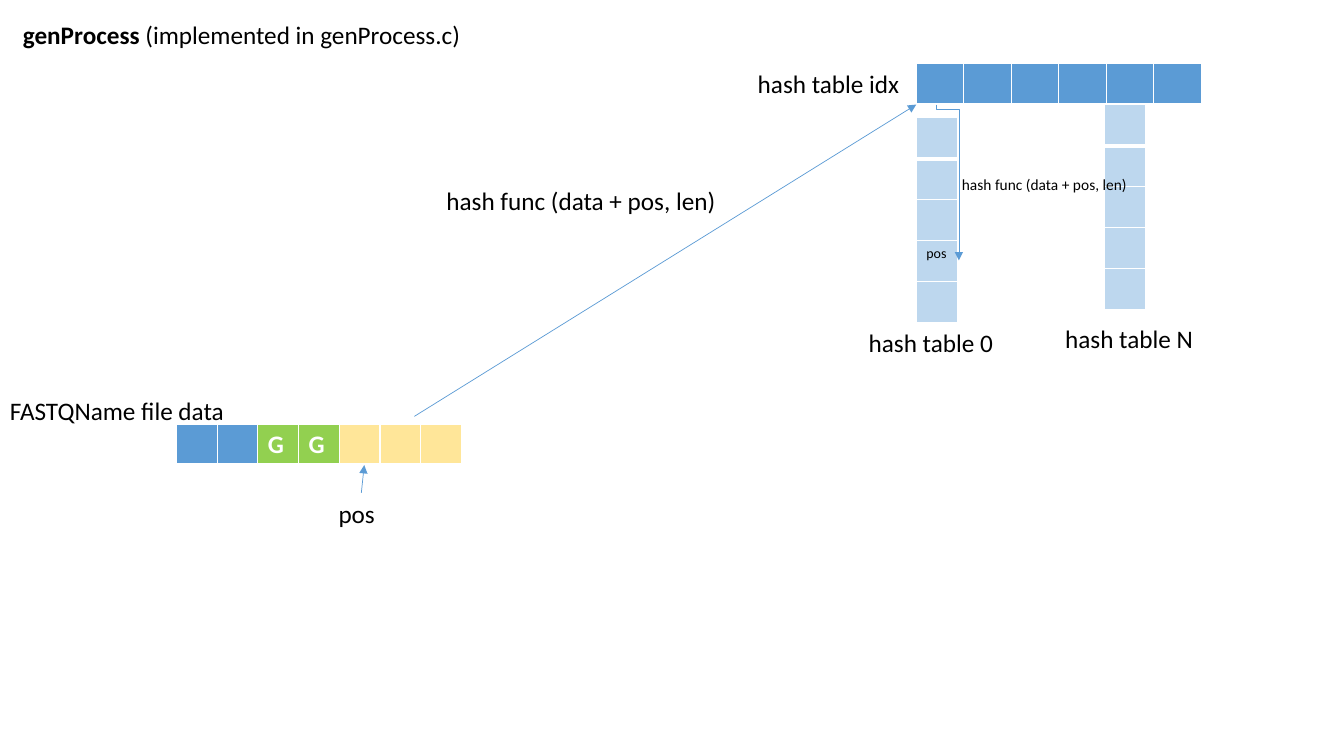
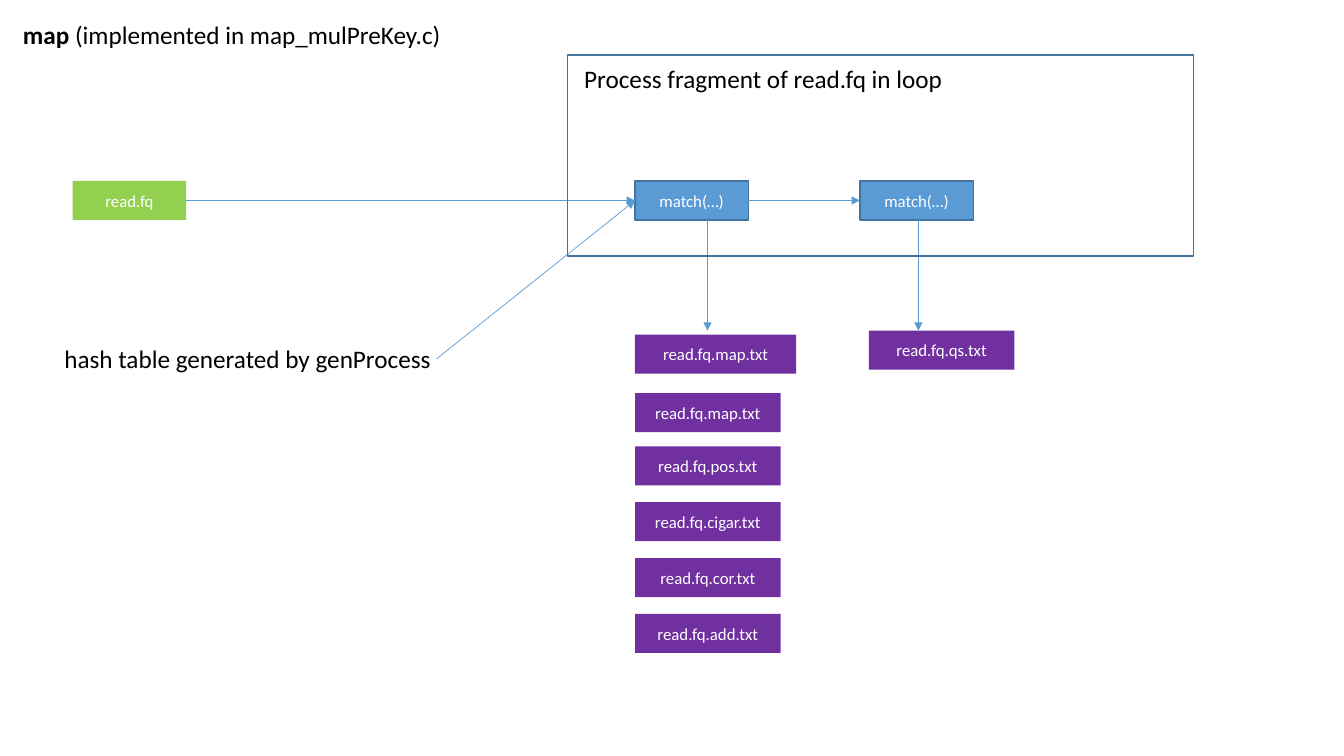
from dataclasses import dataclass

from pptx import Presentation
from pptx.dml.color import RGBColor
from pptx.enum.shapes import MSO_CONNECTOR, MSO_SHAPE
from pptx.enum.text import MSO_ANCHOR, MSO_AUTO_SIZE, PP_ALIGN
from pptx.oxml.ns import qn
from pptx.shapes.autoshape import Shape
from pptx.shapes.connector import Connector
from pptx.slide import Slide
from pptx.util import Pt
from lxml.etree import SubElement

RECT = MSO_SHAPE.RECTANGLE
STRAIGHT, ELBOW = MSO_CONNECTOR.STRAIGHT, MSO_CONNECTOR.ELBOW
CENTER, MIDDLE = PP_ALIGN.CENTER, MSO_ANCHOR.MIDDLE
GROW = MSO_AUTO_SIZE.SHAPE_TO_FIT_TEXT
TOP, LEFT, RIGHT = 0, 1, 3


@dataclass(frozen=True)
class Theme:
    font: str = "Calibri"
    black: str = "000000"
    white: str = "FFFFFF"
    blue: str = "5B9BD5"
    edge: str = "43739E"
    pale: str = "BDD7EE"
    green: str = "92D050"
    yellow: str = "FFE699"
    purple: str = "7030A0"
    body: float = 18
    small: float = 12
    note: float = 11
    tiny: float = 10


THEME = Theme()
ROW = 29.2
BOX_H = 27.9


@dataclass(frozen=True)
class Label:
    text: str
    x: float
    y: float
    w: float
    size: float = THEME.body
    wrap: bool = False
    bold: str = ""


@dataclass(frozen=True)
class Box:
    text: str
    x: float
    y: float
    w: float
    fill: str = ""
    edge: str = ""
    h: float = BOX_H


@dataclass(frozen=True)
class Cell:
    fill: str
    text: str = ""
    size: float = THEME.body
    color: str = THEME.white
    bold: bool = False


def rgb(color: str) -> RGBColor:
    return RGBColor.from_string(color)


def add_run(para, text: str, size: float, color: str, bold: bool = False) -> None:
    run = para.add_run()
    run.text = text
    font = run.font
    font.name, font.size, font.bold = THEME.font, Pt(size), bold
    font.color.rgb = rgb(color)


def add_label(slide: Slide, label: Label) -> Shape:
    shape = slide.shapes.add_textbox(
        Pt(label.x), Pt(label.y), Pt(label.w), Pt(label.size * 1.22 + 7.2))
    frame = shape.text_frame
    frame.word_wrap, frame.auto_size = label.wrap, GROW
    para = frame.paragraphs[0]
    if label.bold:
        add_run(para, label.bold, label.size, THEME.black, True)
    add_run(para, label.text, label.size, THEME.black)
    return shape


def add_box(slide: Slide, box: Box) -> Shape:
    shape = slide.shapes.add_shape(RECT, Pt(box.x), Pt(box.y), Pt(box.w), Pt(box.h))
    shape.shadow.inherit = False
    if box.fill:
        shape.fill.solid()
        shape.fill.fore_color.rgb = rgb(box.fill)
    else:
        shape.fill.background()
    if box.edge:
        shape.line.color.rgb = rgb(box.edge)
        shape.line.width = Pt(1)
    else:
        shape.line.fill.background()
    if box.text:
        frame = shape.text_frame
        frame.word_wrap, frame.vertical_anchor = True, MIDDLE
        para = frame.paragraphs[0]
        para.alignment = CENTER
        add_run(para, box.text, THEME.small, THEME.white)
    return shape


def add_arrow(slide: Slide, x1: float, y1: float, x2: float, y2: float,
              kind=STRAIGHT) -> Connector:
    line = slide.shapes.add_connector(kind, Pt(x1), Pt(y1), Pt(x2), Pt(y2))
    line.line.color.rgb = rgb(THEME.blue)
    line.line.width = Pt(0.5)
    SubElement(line.line._get_or_add_ln(), qn("a:tailEnd"), type="triangle")
    SubElement(line._element.spPr, qn("a:effectLst"))
    return line


def add_bend(slide: Slide, x1: float, y1: float, x2: float, y2: float,
             turn: float) -> None:
    """Draw an elbow that starts downwards and turns at a share of its height."""
    mid_x, mid_y = (x1 + x2) / 2, (y1 + y2) / 2
    dx, dy = (x2 - x1) / 2, (y2 - y1) / 2
    line = add_arrow(slide, mid_x + dy, mid_y - dx, mid_x - dy, mid_y + dx, ELBOW)
    props = line._element.spPr
    props.find(qn("a:xfrm")).set("rot", str(270 * 60000))
    geom = props.find(qn("a:prstGeom"))
    guides = geom.find(qn("a:avLst"))
    if guides is None:
        guides = SubElement(geom, qn("a:avLst"))
    SubElement(guides, qn("a:gd"), name="adj1", fmla=f"val {round(turn * 100000)}")


def set_edges(cell, base: float) -> None:
    """Give a cell white borders, the bottom one of its own width."""
    props = cell._tc.get_or_add_tcPr()
    for spot, (side, width) in enumerate(
            (("lnL", 1), ("lnR", 1), ("lnT", 1), ("lnB", base))):
        line = SubElement(props, qn(f"a:{side}"), w=str(Pt(width)))
        fill = SubElement(line, qn("a:solidFill"))
        SubElement(fill, qn("a:srgbClr"), val=THEME.white)
        props.insert(spot, line)


def add_grid(slide: Slide, x: float, y: float, col: float,
             rows: list[list[Cell]]) -> None:
    count = len(rows[0])
    table = slide.shapes.add_table(
        len(rows), count, Pt(x), Pt(y), Pt(col * count), Pt(ROW * len(rows))).table
    table.first_row = table.horz_banding = False
    for part in table.columns:
        part.width = Pt(col)
    for r, row in enumerate(rows):
        table.rows[r].height = Pt(ROW)
        for c, item in enumerate(row):
            cell = table.cell(r, c)
            cell.fill.solid()
            cell.fill.fore_color.rgb = rgb(item.fill)
            set_edges(cell, 1 if r else 3)
            para = cell.text_frame.paragraphs[0]
            if item.text:
                add_run(para, item.text, item.size, item.color, item.bold)
            else:
                para.font.size = Pt(item.size)


def add_page(deck, name: str, rest: str, width: float) -> Slide:
    slide = deck.slides.add_slide(deck.slide_layouts[6])
    add_label(slide, Label(rest, 9.3, 10.2, width, bold=name))
    return slide


def draw_hash(deck) -> None:
    slide = add_page(deck, "genProcess ", "(implemented in genProcess.c)", 333.4)
    blue, pale = Cell(THEME.blue), Cell(THEME.pale)
    base = Cell(THEME.green, "G", bold=True)
    slot = Cell(THEME.pale, "pos", THEME.tiny, THEME.black)
    add_grid(slide, 126, 303.2, 29.1,
             [[blue] * 2 + [base] * 2 + [Cell(THEME.yellow)] * 3])
    add_grid(slide, 654.5, 45.4, 33.95, [[blue] * 6])
    add_grid(slide, 654.5, 84.2, 29.2, [[pale]] * 3 + [[slot], [pale]])
    add_grid(slide, 789.1, 74.9, 29.2, [[pale]] * 5)

    pos = add_label(slide, Label("pos", 234.7, 352.1, 46.8, wrap=True))
    add_arrow(slide, 258.1, 352.1, 260.2, 332.2).begin_connect(pos, TOP)
    add_arrow(slide, 296, 297.4, 654.5, 74.7)
    for label in (
        Label("hash table idx", 534.2, 45.4, 134.6, wrap=True),
        Label("hash table 0", 613.4, 230.4, 104.4),
        Label("hash func (data + pos, len)", 311.8, 128.5, 209.5),
        Label("FASTQName file data", 0, 278.8, 170.6, wrap=True),
        Label("hash func (data + pos, len)", 680, 121.3, 133.2, THEME.note),
        Label("hash table N", 753.8, 227.7, 107.3),
    ):
        add_label(slide, label)
    add_bend(slide, 669.1, 74.7, 684.9, 186, 0.03)


def draw_map(deck) -> None:
    slide = add_page(deck, "map ", "(implemented in map_mulPreKey.c)", 316.8)
    top, width, wide = 129.3, 81, 104
    left = 453.6
    read = add_box(slide, Box("read.fq", 52, top, width, THEME.green))
    first, second = (
        add_box(slide, Box("match(…)", x, top, width, THEME.blue, THEME.edge))
        for x in (left, 614.2))
    add_label(slide, Label("hash table generated by genProcess", 38.9, 242, 299.5,
                           wrap=True))

    add_box(slide, Box("read.fq.map.txt", left, 239, 115.2, THEME.purple))
    add_box(slide, Box("read.fq.qs.txt", 620.6, 236.2, wide, THEME.purple))
    add_box(slide, Box("read.fq.map.txt", left, 280.8, wide, THEME.purple))
    for i, name in enumerate(("pos", "cigar", "cor", "add")):
        add_box(slide, Box(f"read.fq.{name}.txt", left, 318.8 + 39.9 * i, wide,
                           THEME.purple))

    mid = top + BOX_H / 2
    for start, end in ((read, first), (first, second)):
        line = add_arrow(slide, 0, mid, width, mid)
        line.begin_connect(start, RIGHT)
        line.end_connect(end, LEFT)
    add_arrow(slide, 311.9, 256.3, left, mid).end_connect(first, LEFT)
    for x in (505.4, 656):
        add_arrow(slide, x, top + BOX_H, x, 236.2)

    add_box(slide, Box("", 405.3, 39.4, 447.1, edge=THEME.edge, h=143.5))
    add_label(slide, Label("Process fragment of read.fq in loop", 410.2, 41.8, 274.3))


def main() -> None:
    deck = Presentation()
    deck.slide_width, deck.slide_height = Pt(960), Pt(540)
    draw_hash(deck)
    draw_map(deck)
    deck.save("out.pptx")


if __name__ == "__main__":
    main()
